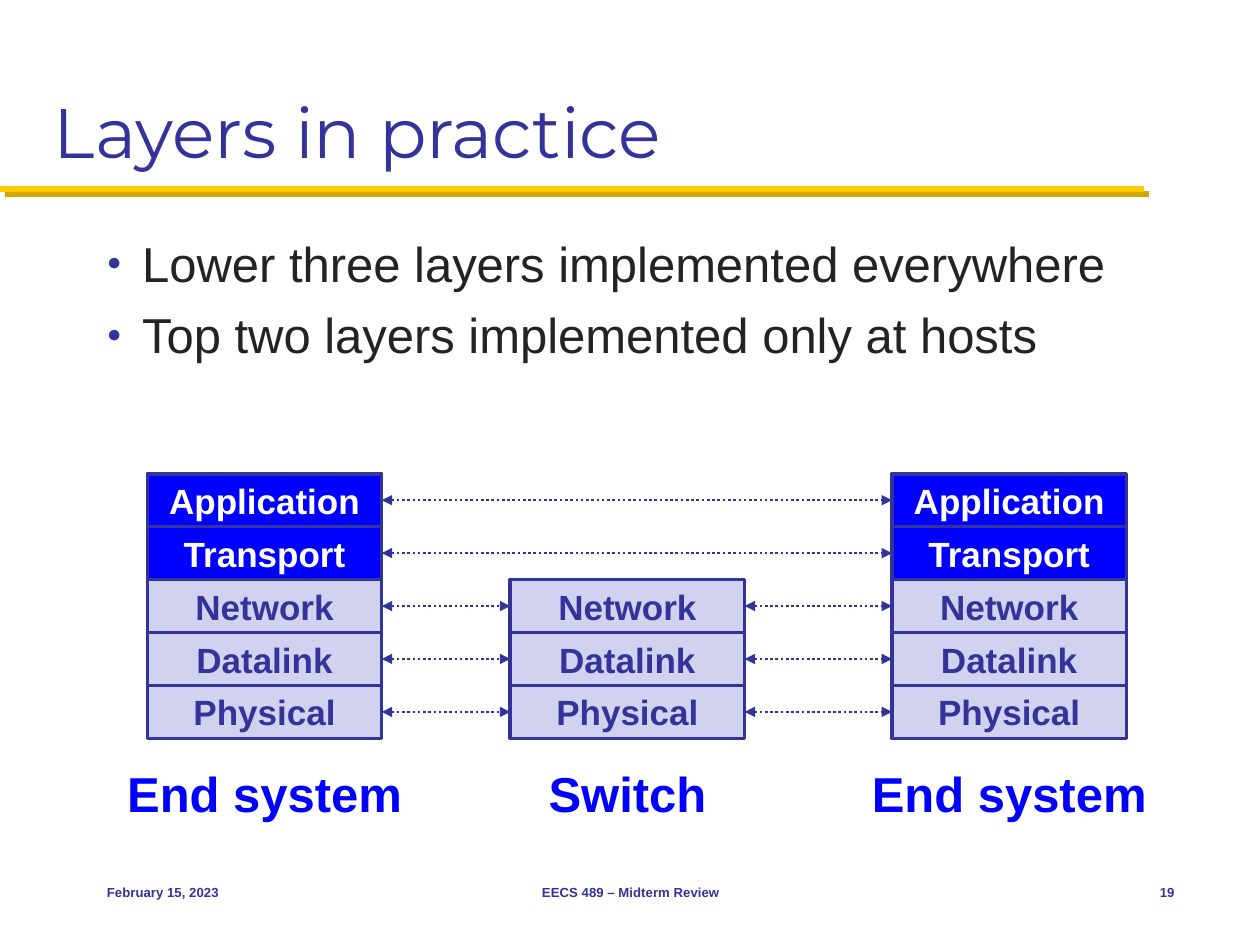
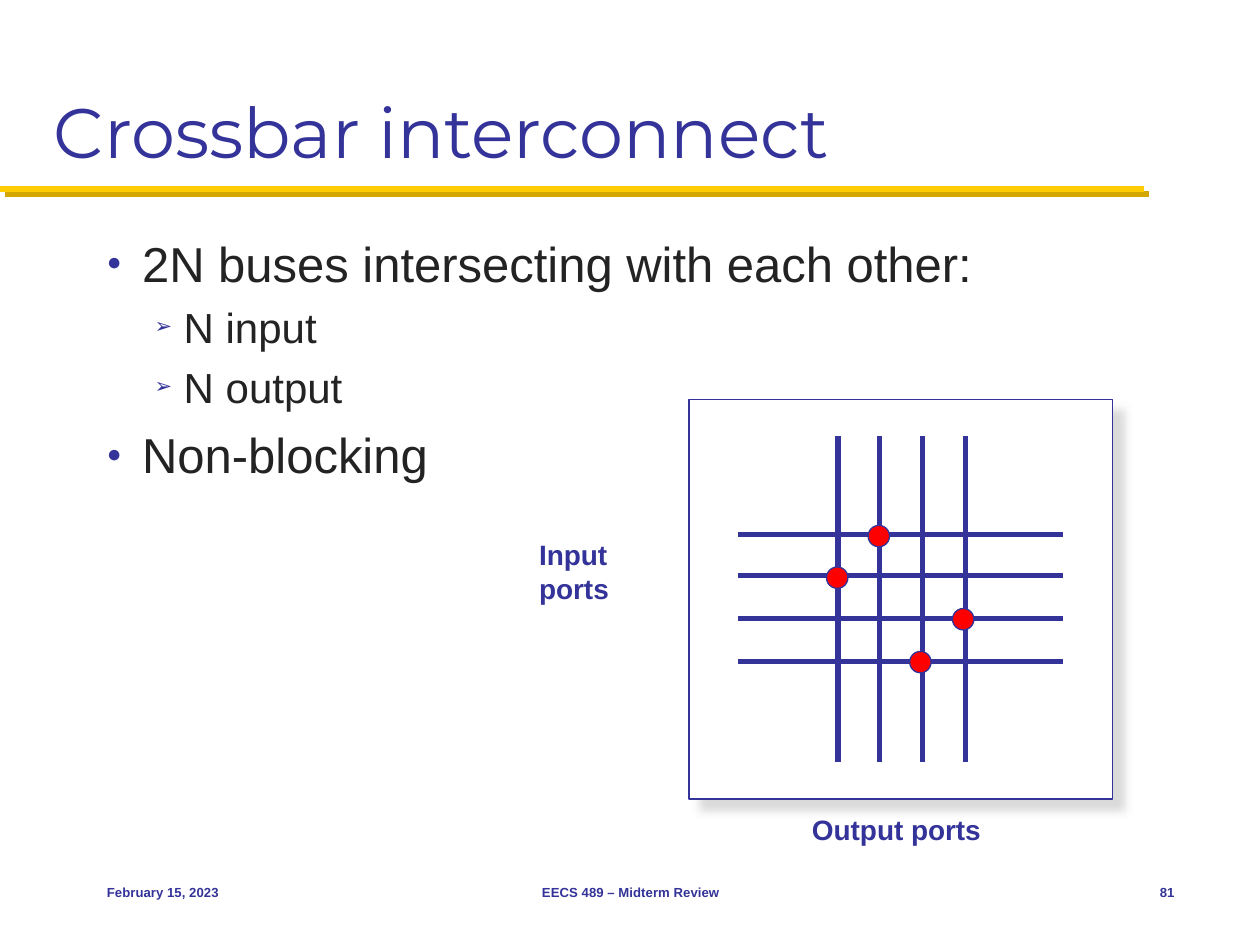
import lxml.etree
import pptx
import pptx.dml.color
import pptx.enum.dml
import pptx.enum.shapes
import pptx.enum.text
import pptx.oxml.ns
import pptx.util

PX = 9144  # one px is a hundredth of an inch
NAVY, BLUE, LILAC, WHITE = "333399", "0000FF", "D1D1F0", "FFFFFF"
GOLD, DARK_GOLD, INK, RED, GRAY = "FFCB05", "D3A600", "232323", "FF0000", "CECECE"

hue = pptx.dml.color.RGBColor.from_string
qn = pptx.oxml.ns.qn
SHAPE = pptx.enum.shapes.MSO_SHAPE
STRAIGHT = pptx.enum.shapes.MSO_CONNECTOR.STRAIGHT
ALIGN = pptx.enum.text.PP_ALIGN
ANCHOR = pptx.enum.text.MSO_ANCHOR


def write(box, text, size, color, bold=True, font="Arial",
          align=ALIGN.LEFT, anchor=ANCHOR.TOP):
    """Fill a box with one paragraph; newlines become line breaks."""
    frame = box.text_frame
    frame.word_wrap = True
    frame.vertical_anchor = anchor
    para = frame.paragraphs[0]
    para.alignment = align
    for number, line in enumerate(text.split("\n")):
        if number:
            para.add_line_break()
        span = para.add_run()
        span.text = line
        span.font.name, span.font.size = font, pptx.util.Pt(size)
        span.font.bold, span.font.color.rgb = bold, hue(color)


def outline(item, color, width, shadow=None):
    """Set the line, and a shadow given as colour, opacity %, blur and distance."""
    item.line.color.rgb = hue(color)
    item.line.width = pptx.util.Pt(width)
    effects = lxml.etree.SubElement(item._element.spPr, qn("a:effectLst"))
    if shadow:
        shade, opacity, blur, distance = shadow
        outer = lxml.etree.SubElement(
            effects, qn("a:outerShdw"), blurRad=str(pptx.util.Pt(blur)),
            dist=str(pptx.util.Pt(distance)), dir="2700000", algn="ctr", rotWithShape="0")
        tint = lxml.etree.SubElement(outer, qn("a:srgbClr"), val=shade)
        lxml.etree.SubElement(tint, qn("a:alpha"), val=str(opacity * 1000))


deck = pptx.Presentation()
deck.slide_width, deck.slide_height = 1000 * PX, 750 * PX

# Bullet styles by level: sign, left margin, hanging indent, size, space before
bullet_styles = [("●", 28, 28, 28, 7), ("➢", 61, 23, 24, 5.5)]
contents = [
    ("Layers in practice", "19", [
        (0, "Lower three layers implemented everywhere"),
        (0, "Top two layers implemented only at hosts")]),
    ("Crossbar interconnect", "81", [
        (0, "2N buses intersecting with each other:"),
        (1, "N input"),
        (1, "N output"),
        (0, "Non-blocking")]),
]

# Shared parts: title, rule, bullets and footer
pages = []
for title, page_number, bullets in contents:
    page = deck.slides.add_slide(deck.slide_layouts[6])
    pages.append(page)

    rule = page.shapes.add_connector(STRAIGHT, 0, 150 * PX, 908 * PX, 150 * PX)
    outline(rule, GOLD, 3.5, (DARK_GOLD, 100, 0, 4.2))

    box = page.shapes.add_textbox(33 * PX, 17 * PX, 933 * PX, 125 * PX)
    write(box, title, 40, NAVY, False, "Montserrat", anchor=ANCHOR.BOTTOM)

    body = page.shapes.add_textbox(75 * PX, 180 * PX, 867 * PX, 478 * PX).text_frame
    body.word_wrap = True
    for number, (level, text) in enumerate(bullets):
        sign, margin, hanging, size, gap = bullet_styles[level]
        para = body.add_paragraph() if number else body.paragraphs[0]
        para.level = level
        props = para._p.get_or_add_pPr()
        props.set("marL", str(margin * PX))
        props.set("indent", str(-hanging * PX))
        bullet_color = lxml.etree.SubElement(props, qn("a:buClr"))
        lxml.etree.SubElement(bullet_color, qn("a:srgbClr"), val=NAVY)
        lxml.etree.SubElement(props, qn("a:buSzPct"), val="50000")
        lxml.etree.SubElement(props, qn("a:buFont"), typeface="Arial")
        lxml.etree.SubElement(props, qn("a:buChar"), char=sign)
        if number:
            para.space_before = pptx.util.Pt(gap)
        span = para.add_run()
        span.text = text
        span.font.name, span.font.size = "Arial", pptx.util.Pt(size)
        span.font.color.rgb = hue(INK)

    for left, width, text, align in [
            (75, 208, "February 15, 2023", ALIGN.LEFT),
            (342, 317, "EECS 489 – Midterm Review", ALIGN.CENTER),
            (875, 67, page_number, ALIGN.RIGHT)]:
        box = page.shapes.add_textbox(left * PX, 683 * PX, width * PX, 50 * PX)
        write(box, text, 7.5, NAVY, align=align, anchor=ANCHOR.MIDDLE)

layers_page, crossbar_page = pages

# Layer stacks: the switch has only the lower three layers
layers = ["Application", "Transport", "Network", "Datalink", "Physical"]
stacks = []
for left, name, first_layer in [
        (117, "End system", 0), (405, "Switch", 2), (708, "End system", 0)]:
    stack = {}
    for row in range(first_layer, len(layers)):
        cell = layers_page.shapes.add_shape(
            SHAPE.RECTANGLE, left * PX, (376 + 42 * row) * PX, 186 * PX, 42 * PX)
        cell.fill.solid()
        cell.fill.fore_color.rgb = hue(BLUE if row < 2 else LILAC)
        outline(cell, NAVY, 2)
        write(cell, layers[row], 20, WHITE if row < 2 else NAVY,
              align=ALIGN.CENTER, anchor=ANCHOR.MIDDLE)
        stack[row] = cell
    stacks.append(stack)
    box = layers_page.shapes.add_textbox((left - 30) * PX, 601 * PX, 246 * PX, 57 * PX)
    write(box, name, 28, BLUE, align=ALIGN.CENTER)

# Dotted arrows between neighbouring cells of the same layer
for row in range(len(layers)):
    peers = [stack[row] for stack in stacks if row in stack]
    for sender, receiver in zip(peers, peers[1:]):
        arrow = layers_page.shapes.add_connector(STRAIGHT, 0, 0, 0, 0)
        arrow.begin_connect(sender, 3)
        arrow.end_connect(receiver, 1)
        outline(arrow, NAVY, 1.5)
        arrow.line.dash_style = pptx.enum.dml.MSO_LINE.ROUND_DOT
        for end in ("a:headEnd", "a:tailEnd"):
            lxml.etree.SubElement(arrow.line._get_or_add_ln(), qn(end), type="triangle")

# Crossbar panel
panel = crossbar_page.shapes.add_shape(
    SHAPE.RECTANGLE, 547 * PX, 317 * PX, 336 * PX, 317 * PX)
panel.fill.solid()
panel.fill.fore_color.rgb = hue(WHITE)
outline(panel, NAVY, 1, (GRAY, 75, 5, 8.5))

# Four output buses down, four input buses across
for number in range(4):
    shift = 101 * number // 3
    for x1, y1, x2, y2 in [(665 + shift, 346, 665 + shift, 605),
                           (586, 424 + shift, 844, 424 + shift)]:
        bus = crossbar_page.shapes.add_connector(
            STRAIGHT, x1 * PX, y1 * PX, x2 * PX, y2 * PX)
        outline(bus, NAVY, 3)

# One closed crosspoint for each input row
for row, column in enumerate([1, 0, 3, 2]):
    dot = crossbar_page.shapes.add_shape(
        SHAPE.OVAL, (656 + 100 * column // 3) * PX, (417 + 100 * row // 3) * PX,
        17 * PX, 17 * PX)
    dot.fill.solid()
    dot.fill.fore_color.rgb = hue(RED)
    outline(dot, NAVY, 0.75)

# Port labels
box = crossbar_page.shapes.add_textbox(418 * PX, 422 * PX, 121 * PX, 111 * PX)
write(box, "Input\nports", 16, NAVY)
box = crossbar_page.shapes.add_textbox(559 * PX, 640 * PX, 305 * PX, 44 * PX)
write(box, "Output ports", 16, NAVY, align=ALIGN.CENTER)

deck.save("out.pptx")
